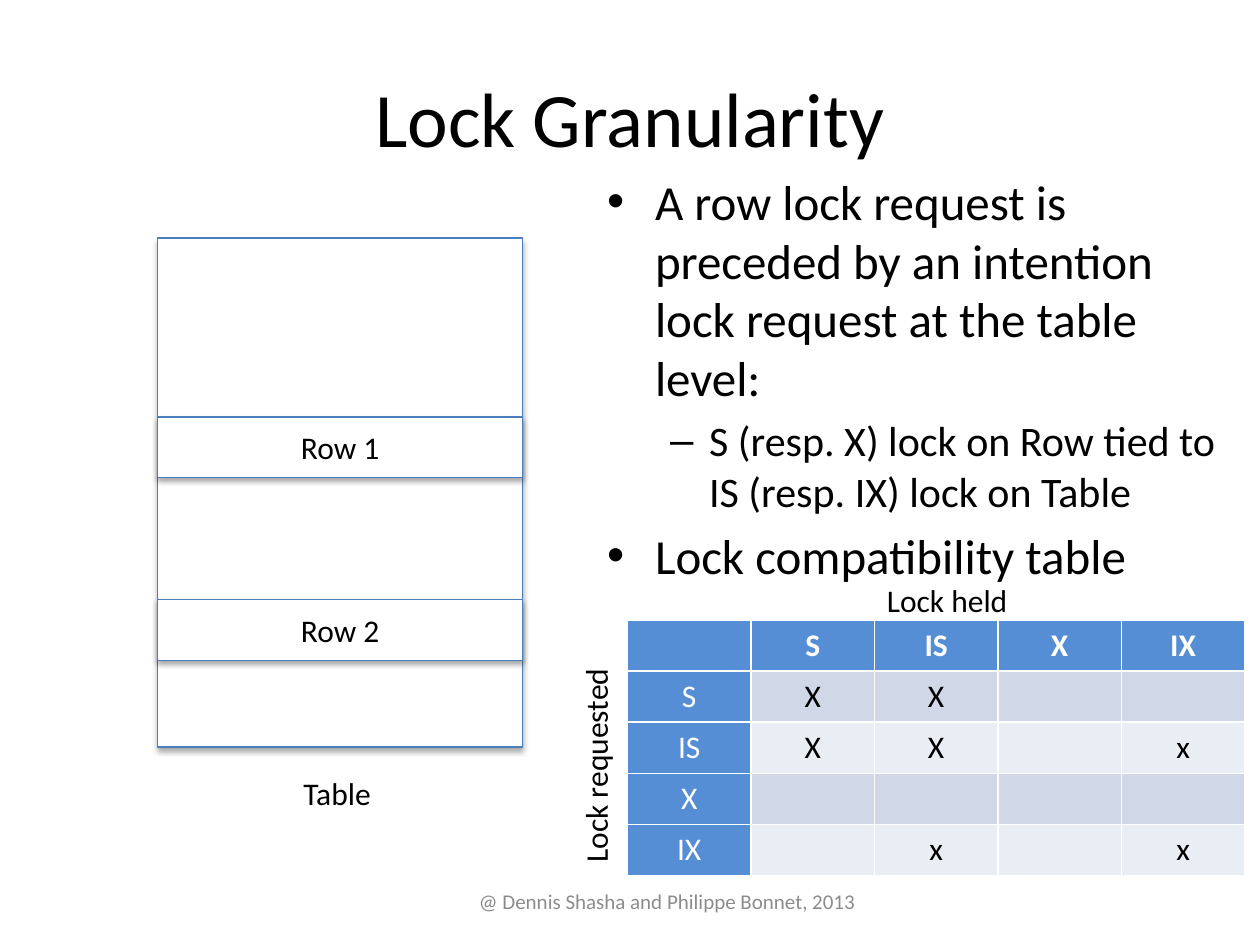
"""Build the Lock Granularity slide with a row diagram and a compatibility table."""
from lxml import etree
from pptx import Presentation
from pptx.dml.color import RGBColor
from pptx.enum.shapes import MSO_SHAPE
from pptx.enum.text import MSO_ANCHOR, PP_ALIGN
from pptx.oxml import parse_xml
from pptx.util import Inches, Pt

RECTANGLE = MSO_SHAPE.RECTANGLE
MIDDLE, TOP = MSO_ANCHOR.MIDDLE, MSO_ANCHOR.TOP
CENTER, LEFT = PP_ALIGN.CENTER, PP_ALIGN.LEFT
NAMESPACE = "http://schemas.openxmlformats.org/drawingml/2006/main"
SHADOW = (
    f'<a:effectLst xmlns:a="{NAMESPACE}">'
    '<a:outerShdw blurRad="40000" dist="23000" dir="5400000" rotWithShape="0">'
    '<a:srgbClr val="000000"><a:alpha val="35000"/></a:srgbClr>'
    "</a:outerShdw></a:effectLst>"
)


def color(value):
    return RGBColor.from_string(value)


def write(paragraph, text, size=18, fill="000000", bold=False, align=LEFT):
    paragraph.alignment = align
    run = paragraph.add_run()
    run.text = text
    run.font.name = "Calibri"
    run.font.size = Pt(size)
    run.font.bold = bold
    run.font.color.rgb = color(fill)


presentation = Presentation()
presentation.slide_width = Inches(10)
presentation.slide_height = Inches(7.5)
slide = presentation.slides.add_slide(presentation.slide_layouts[5])
shapes = slide.shapes

title = shapes.title
title.left, title.top = Inches(0.5), Inches(0.3)
title.width, title.height = Inches(9), Inches(1.25)
title.text_frame.vertical_anchor = MIDDLE
write(title.text_frame.paragraphs[0], "Lock Granularity", size=44, align=CENTER)

points = [
    ("A row lock request is preceded by an intention lock request at the table level:", 0),
    ("S (resp. X) lock on Row tied to IS (resp. IX) lock on Table", 1),
    ("Lock compatibility table", 0),
]
levels = [("•", 28, 0.38, 0.38), ("–", 24, 0.81, 0.31)]
body = shapes.add_textbox(Inches(4.72), Inches(1.31), Inches(5.05), Inches(4.95))
body.text_frame.word_wrap = True
for index, (text, level) in enumerate(points):
    bullet, size, margin, hanging = levels[level]
    paragraph = body.text_frame.add_paragraph() if index else body.text_frame.paragraphs[0]
    paragraph.level = level
    paragraph.space_before = Pt(size * 0.2)
    write(paragraph, text, size=size)
    properties = paragraph._p.get_or_add_pPr()
    properties.set("marL", str(Inches(margin)))
    properties.set("indent", str(-Inches(hanging)))
    etree.SubElement(properties, f"{{{NAMESPACE}}}buFont", typeface="Arial")
    etree.SubElement(properties, f"{{{NAMESPACE}}}buChar", char=bullet)

for text, top, height in [("", 1.89, 4.04), ("Row 1", 3.31, 0.48), ("Row 2", 4.76, 0.48)]:
    box = shapes.add_shape(RECTANGLE, Inches(1.25), Inches(top), Inches(2.9), Inches(height))
    box.fill.solid()
    box.fill.fore_color.rgb = color("FFFFFF")
    box.line.color.rgb = color("4B7EBC")
    box.line.width = Pt(0.75)
    box._element.spPr.append(parse_xml(SHADOW))
    if text:
        box.text_frame.vertical_anchor = MIDDLE
        write(box.text_frame.paragraphs[0], text, align=CENTER)

modes = ["S", "IS", "X", "IX"]
grid = [
    ["", *modes],
    ["S", "X", "X", "", ""],
    ["IS", "X", "X", "", "x"],
    ["X", "", "", "", ""],
    ["IX", "", "x", "", "x"],
]
frame = shapes.add_table(5, 5, Inches(4.98), Inches(4.92), Inches(4.9), Inches(2.03))
for row, values in enumerate(grid):
    for column, text in enumerate(values):
        cell = frame.table.cell(row, column)
        heading = row == 0 or column == 0
        cell.fill.solid()
        cell.fill.fore_color.rgb = color("558ED5" if heading else "D0D8E8" if row % 2 else "E9EDF4")
        if text:
            write(cell.text_frame.paragraphs[0], text, bold=row == 0, align=CENTER,
                  fill="FFFFFF" if heading else "000000")

labels = [
    ("Table", 2.31, 6.09, 0.76, 0, 18, "000000", LEFT, TOP),
    ("@ Dennis Shasha and Philippe Bonnet, 2013", 3.42, 6.95, 3.75, 0, 12, "8C8C8C", CENTER, MIDDLE),
    ("Lock held", 6.94, 4.56, 1.17, 0, 18, "000000", LEFT, TOP),
    ("Lock requested", 3.84, 5.86, 1.77, 270, 18, "000000", LEFT, TOP),
]
for text, left, top, width, rotation, size, fill, align, anchor in labels:
    label = shapes.add_textbox(Inches(left), Inches(top), Inches(width), Inches(0.4))
    label.rotation = rotation
    label.text_frame.word_wrap = False
    label.text_frame.vertical_anchor = anchor
    write(label.text_frame.paragraphs[0], text, size=size, fill=fill, align=align)

presentation.save("out.pptx")
